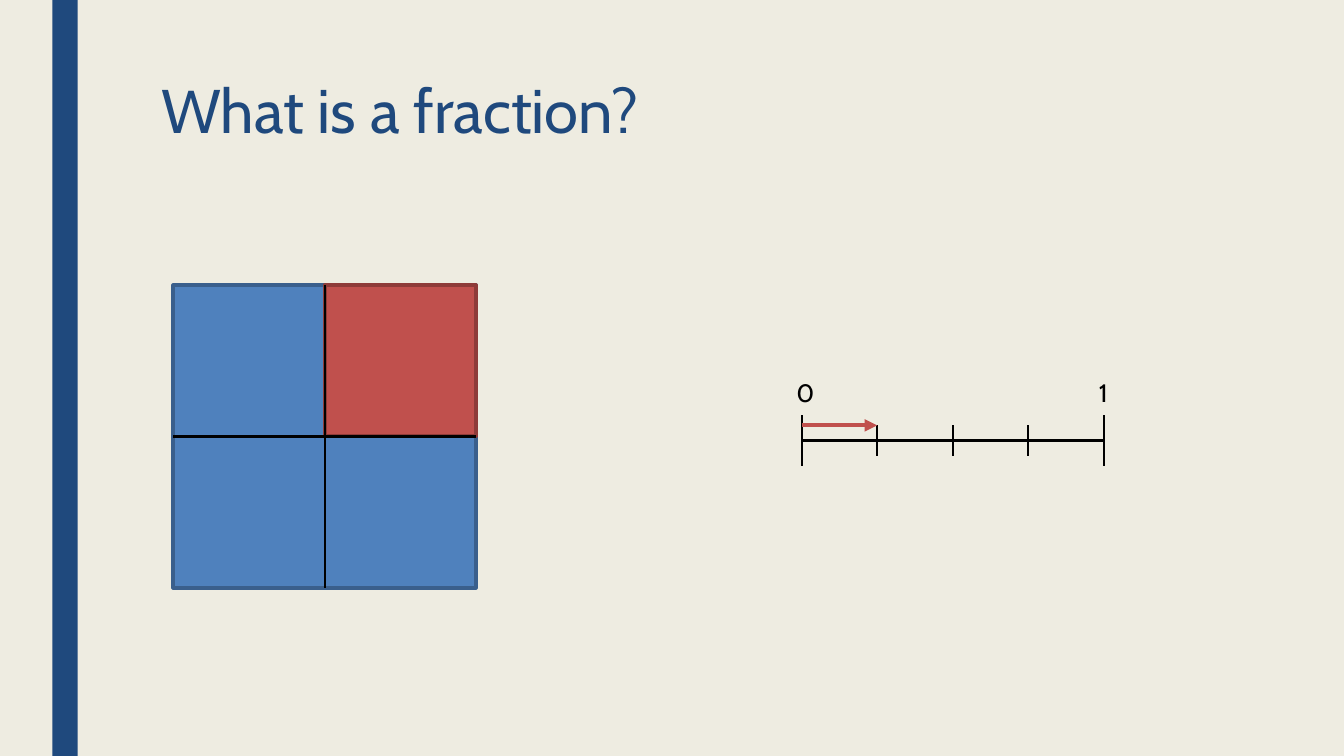
from pptx import Presentation
from pptx.dml.color import RGBColor
from pptx.enum import shapes, text
from pptx.oxml.ns import qn
from pptx.util import Inches, Pt
from lxml import etree

CREAM = RGBColor(0xEE, 0xEC, 0xE1)
NAVY = RGBColor(0x1F, 0x49, 0x7D)
BLUE = RGBColor(0x4F, 0x81, 0xBD)
BLUE_EDGE = RGBColor(0x3A, 0x5F, 0x8C)
RED = RGBColor(0xC0, 0x50, 0x4D)
RED_EDGE = RGBColor(0x8E, 0x3B, 0x39)
BLACK = RGBColor(0, 0, 0)
FONT = "Cabin"


def add_rectangle(slide, left, top, width, height, fill, edge=None):
    shape = slide.shapes.add_shape(
        shapes.MSO_SHAPE.RECTANGLE, Inches(left), Inches(top), Inches(width), Inches(height)
    )
    shape.shadow.inherit = False
    shape.fill.solid()
    shape.fill.fore_color.rgb = fill
    if edge is None:
        shape.line.fill.background()
    else:
        shape.line.color.rgb = edge
        shape.line.width = Pt(2.75)


def add_line(slide, start_x, start_y, end_x, end_y, color=BLACK, width=1.5):
    line = slide.shapes.add_connector(
        shapes.MSO_CONNECTOR.STRAIGHT,
        Inches(start_x), Inches(start_y), Inches(end_x), Inches(end_y),
    )
    line.line.color.rgb = color
    line.line.width = Pt(width)
    etree.SubElement(line._element.spPr, qn("a:effectLst"))
    return line


def add_text(slide, left, top, width, height, wording, size, color):
    box = slide.shapes.add_textbox(Inches(left), Inches(top), Inches(width), Inches(height))
    frame = box.text_frame
    frame.word_wrap = True
    frame.vertical_anchor = text.MSO_ANCHOR.TOP
    frame.text = wording
    paragraph = frame.paragraphs[0]
    font = paragraph.runs[0].font
    font.name = FONT
    font.size = Pt(size)
    font.color.rgb = color
    return paragraph


def add_title(slide, left, top, width, height):
    title = add_text(slide, left, top, width, height, "What is a fraction?", 44, NAVY)
    title.line_spacing = 0.89


def add_quartered_square(slide, left, top, size):
    half = size / 2
    add_rectangle(slide, left, top, size, size, BLUE, BLUE_EDGE)
    add_rectangle(slide, left + half, top, half, half, RED, RED_EDGE)
    add_line(slide, left + half, top, left + half, top + size)
    add_line(slide, left, top + half, left + size, top + half)


def add_number_line(slide, left, axis, length, parts=4):
    step = length / parts
    add_line(slide, left, axis, left + length, axis)
    for index in range(parts + 1):
        reach = 0.25 if index in (0, parts) else 0.15
        x = left + index * step
        add_line(slide, x, axis - reach, x, axis + reach)

    labels = add_text(slide, left - 0.15, axis - 0.68, length + 0.55, 0.4, "0\t1", 18, BLACK)
    stops = etree.SubElement(labels._p.get_or_add_pPr(), qn("a:tabLst"))
    etree.SubElement(stops, qn("a:tab"), pos=str(Inches(length)), algn="l")

    arrow = add_line(slide, left, axis - 0.15, left + step, axis - 0.15, RED, 3)
    etree.SubElement(arrow.line._get_or_add_ln(), qn("a:tailEnd"), type="triangle")


def main():
    presentation = Presentation()
    presentation.slide_width = Inches(13.33)
    presentation.slide_height = Inches(7.5)
    slide = presentation.slides.add_slide(presentation.slide_layouts[6])
    slide.background.fill.solid()
    slide.background.fill.fore_color.rgb = CREAM

    add_rectangle(slide, 0.52, 0, 0.25, 7.5, NAVY)
    add_title(slide, 1.5, 0.75, 10.5, 1.62)
    add_quartered_square(slide, 1.72, 2.83, 3)
    add_number_line(slide, 7.95, 4.37, 3)
    presentation.save("out.pptx")


if __name__ == "__main__":
    main()
